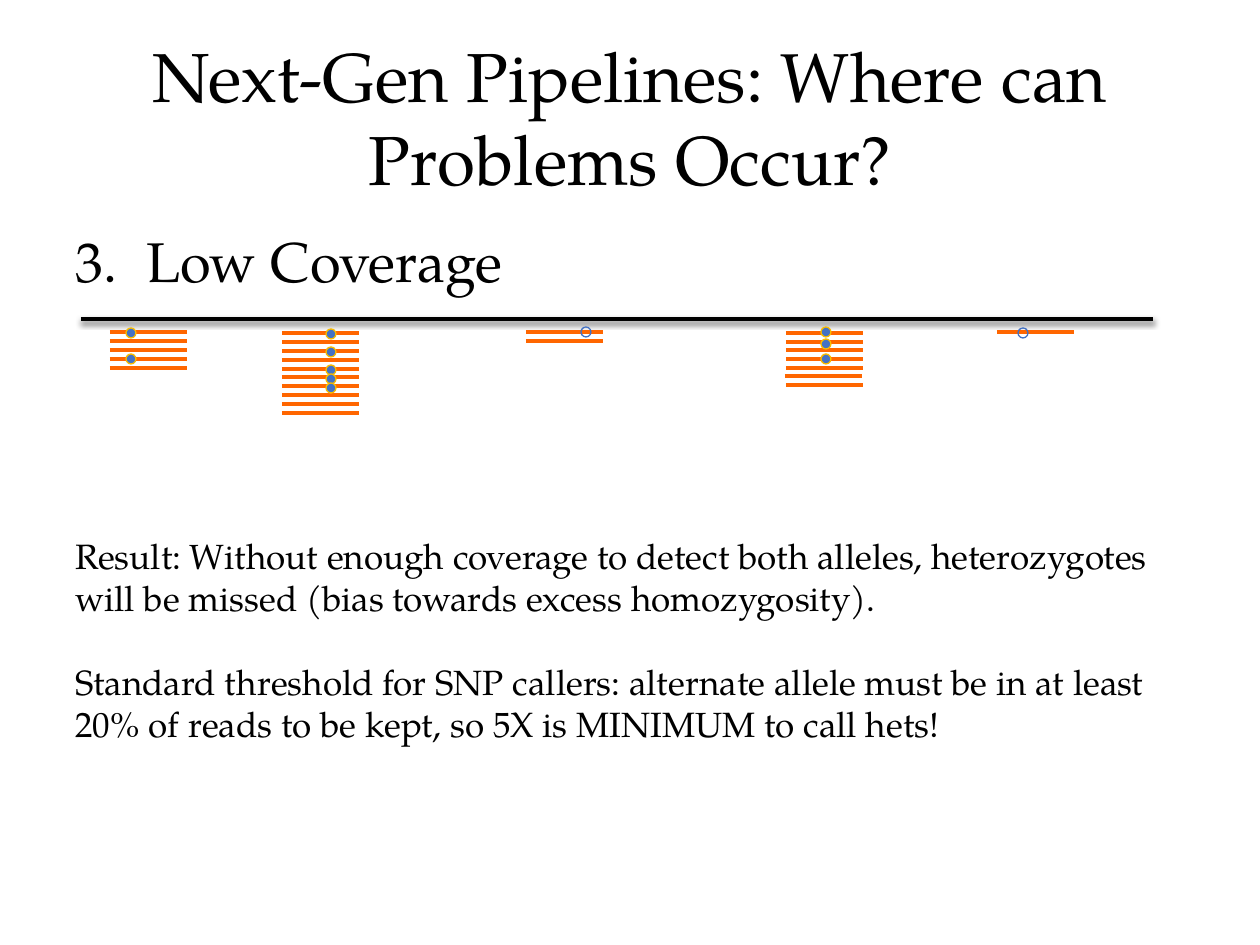
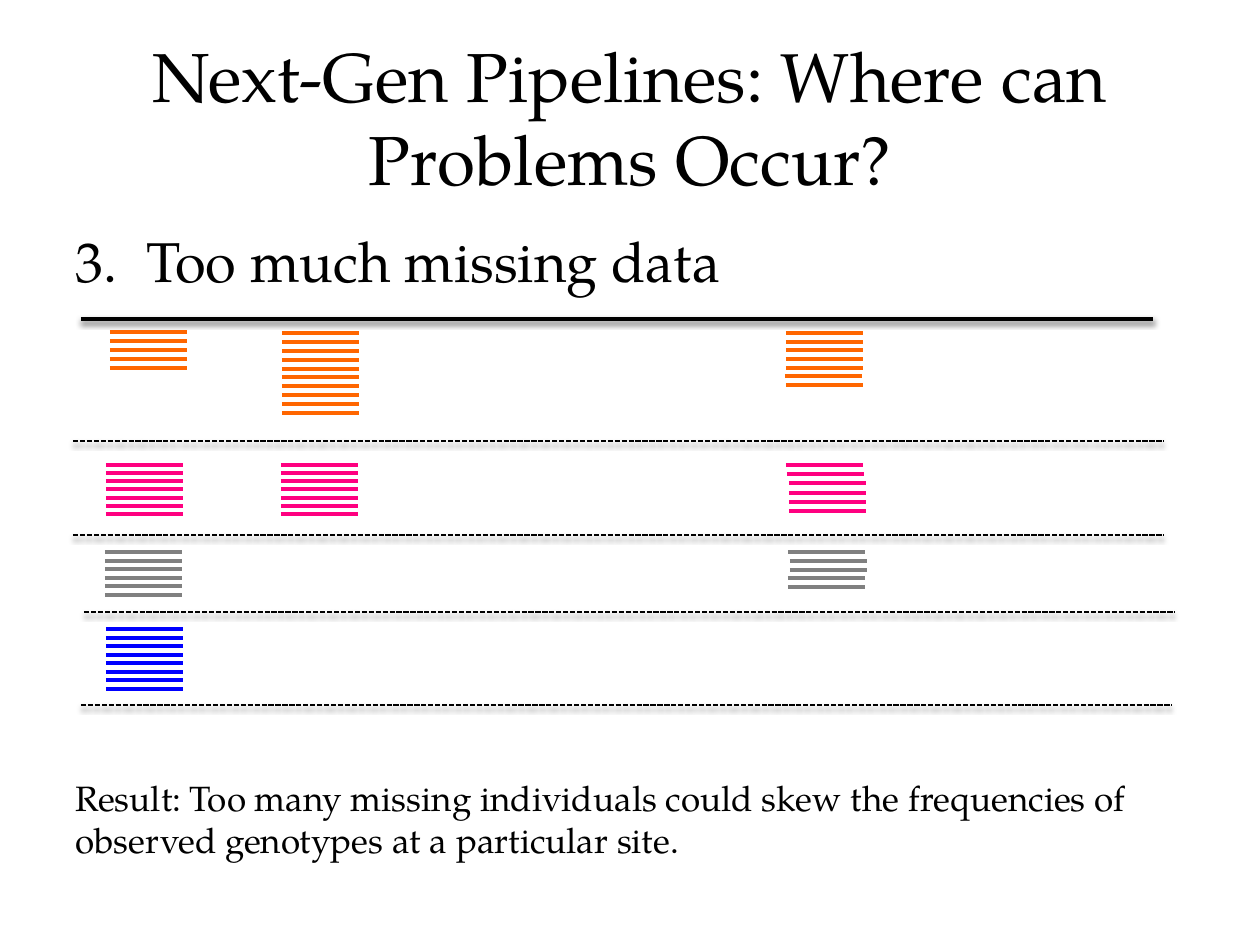
from lxml.etree import SubElement as Sub
from pptx import Presentation
from pptx.dml.color import RGBColor as Rgb
from pptx.enum.dml import MSO_LINE as Dash
from pptx.enum.shapes import MSO_CONNECTOR as Link, MSO_SHAPE as Form
from pptx.enum.text import MSO_ANCHOR as Anchor, MSO_AUTO_SIZE as Fit, PP_ALIGN as Align
from pptx.oxml.ns import qn
from pptx.util import Pt

# Shared look
FONT = "TeX Gyre Pagella"
BLACK = Rgb(0, 0, 0)
ORANGE = Rgb(0xFF, 0x66, 0x00)
PINK = Rgb(0xFF, 0x00, 0x80)
GREY = Rgb(0x80, 0x80, 0x80)
BLUE = Rgb(0x00, 0x00, 0xFF)
STEEL = Rgb(0x44, 0x72, 0xC4)
GOLD = Rgb(0xF9, 0xBC, 0x00)

TITLE = "Next-Gen Pipelines: Where can Problems Occur?"
READ = 77    # length of one read
DOT = 10     # width of an allele dot
MAP = (81, 319, 1072)    # left, top and width of the genome line


def px(n):
    return round(n * 914400 / 126)


def place(shape, box):
    shape.left, shape.top, shape.width, shape.height = map(px, box)


def write(para, text, size):
    run = para.add_run()
    run.text = text
    run.font.name = FONT
    run.font.size = Pt(size)
    run.font.color.rgb = BLACK


def rule(shapes, x, y, width, color, weight, shade=False):
    line = shapes.add_connector(Link.STRAIGHT, px(x), px(y), px(x + width), px(y))
    line.line.color.rgb = color
    line.line.width = Pt(weight)
    fx = Sub(line._element.spPr, qn("a:effectLst"))
    if shade:
        drop = Sub(fx, qn("a:outerShdw"), blurRad="40000", dist="20000",
                   dir="5400000", rotWithShape="0")
        tint = Sub(drop, qn("a:srgbClr"), val=str(BLACK))
        Sub(tint, qn("a:alpha"), val="38000")
    return line


# Title and numbered heading
def head(slide, text):
    title = slide.shapes.title
    place(title, (63, 38, 1134, 157))
    frame = title.text_frame
    frame.auto_size = Fit.NONE
    frame.vertical_anchor = Anchor.MIDDLE
    para = frame.paragraphs[0]
    para.alignment = Align.CENTER
    write(para, TITLE, 39.6)

    body = slide.shapes.add_textbox(0, 0, 0, 0)
    place(body, (63, 220, 1134, 624))
    body.text_frame.word_wrap = True
    para = body.text_frame.paragraphs[0]
    para.space_before = Pt(6.4)
    props = para._p.get_or_add_pPr()
    props.set("marL", str(px(71)))
    props.set("indent", str(-px(71)))
    Sub(props, qn("a:buFont"), typeface=FONT)
    Sub(props, qn("a:buAutoNum"), type="arabicPeriod", startAt="3")
    write(para, text, 32)


# Result text under the diagram
def note(slide, box, *texts):
    shape = slide.shapes.add_textbox(0, 0, 0, 0)
    place(shape, box)
    frame = shape.text_frame
    frame.word_wrap = True
    for i, text in enumerate(texts):
        para = frame.add_paragraph() if i else frame.paragraphs[0]
        if i:
            para.space_before = Pt(24)
        write(para, text, 20)


# Evenly spaced reads that cover one site
def stack(slide, x, y, count, span, color, shifts=None):
    group = slide.shapes.add_group_shape()
    step = span / max(count - 1, 1)
    for i, shift in enumerate(shifts or [0] * count):
        rule(group.shapes, x + shift, y + round(i * step), READ, color, 2)


# One individual: its stacks, as (x, y, count, span, shifts)
def track(slide, box, color, stacks):
    left, top = box[:2]
    for x, y, *rest in stacks:
        count, span, *shifts = rest
        stack(slide, left + x, top + y, count, span, color, *shifts)


def genome(slide, box):
    rule(slide.shapes, *box, BLACK, 2.5, shade=True)


# Allele dots, by column; the hollow ones are missed alleles
def dots(slide, box, x, marks, full=True):
    for y in marks:
        dot = slide.shapes.add_shape(Form.OVAL, 0, 0, 0, 0)
        place(dot, (box[0] + x - DOT / 2, box[1] + y - DOT / 2, DOT, DOT))
        dot.shadow.inherit = False
        dot.line.width = Pt(0.75)
        dot.line.color.rgb = GOLD if full else STEEL
        if full:
            dot.fill.solid()
            dot.fill.fore_color.rgb = STEEL
        else:
            dot.fill.background()


def divide(slide, x, y):
    line = rule(slide.shapes, x, y, 1091, BLACK, 1, shade=True)
    line.line.dash_style = Dash.SQUARE_DOT
    line.line._ln.find(qn("a:prstDash")).set("val", "sysDash")


FIRST = [(29, 13, 5, 36), (201, 14, 10, 80), (705, 14, 7, 52, [0, 0, 0, 0, 0, -1, 0])]
THIN = [(445, 13, 2, 9), (916, 13, 1, 0)]


def cover(slide):
    head(slide, "Low Coverage")
    genome(slide, MAP)
    track(slide, MAP, ORANGE, FIRST + THIN)
    dots(slide, MAP, 50, (14, 40))
    dots(slide, MAP, 250, (15, 33, 51, 60, 69))
    dots(slide, MAP, 745, (13, 25, 40))
    dots(slide, MAP, 505, (13,), full=False)
    dots(slide, MAP, 942, (14,), full=False)
    note(slide, (63, 528, 1128, 224),
         "Result: Without enough coverage to detect both alleles, heterozygotes "
         "will be missed (bias towards excess homozygosity).",
         "Standard threshold for SNP callers: alternate allele must be in at least "
         "20% of reads to be kept, so 5X is MINIMUM to call hets!")


def missing(slide):
    head(slide, "Too much missing data")
    genome(slide, MAP)
    rows = [
        (ORANGE, 319, FIRST),
        (PINK, 465, [(25, 0, 7, 49), (200, 0, 7, 49),
                     (705, 0, 6, 46, [0, 1, 3, 3, 3, 3])]),
        (GREY, 552, [(24, 0, 6, 43), (707, 0, 5, 35, [0, 2, 2, 0, 0])]),
        (BLUE, 629, [(25, 0, 8, 60)]),
    ]
    for color, top, stacks in rows:
        track(slide, (MAP[0], top), color, stacks)
    for x, y in ((73, 441), (73, 535), (84, 612), (81, 705)):
        divide(slide, x, y)
    note(slide, (63, 770, 1128, 97),
         "Result: Too many missing individuals could skew the frequencies of "
         "observed genotypes at a particular site.")


deck = Presentation()
deck.slide_width, deck.slide_height = px(1260), px(945)
for build in (cover, missing):
    build(deck.slides.add_slide(deck.slide_layouts[5]))
deck.save("out.pptx")
